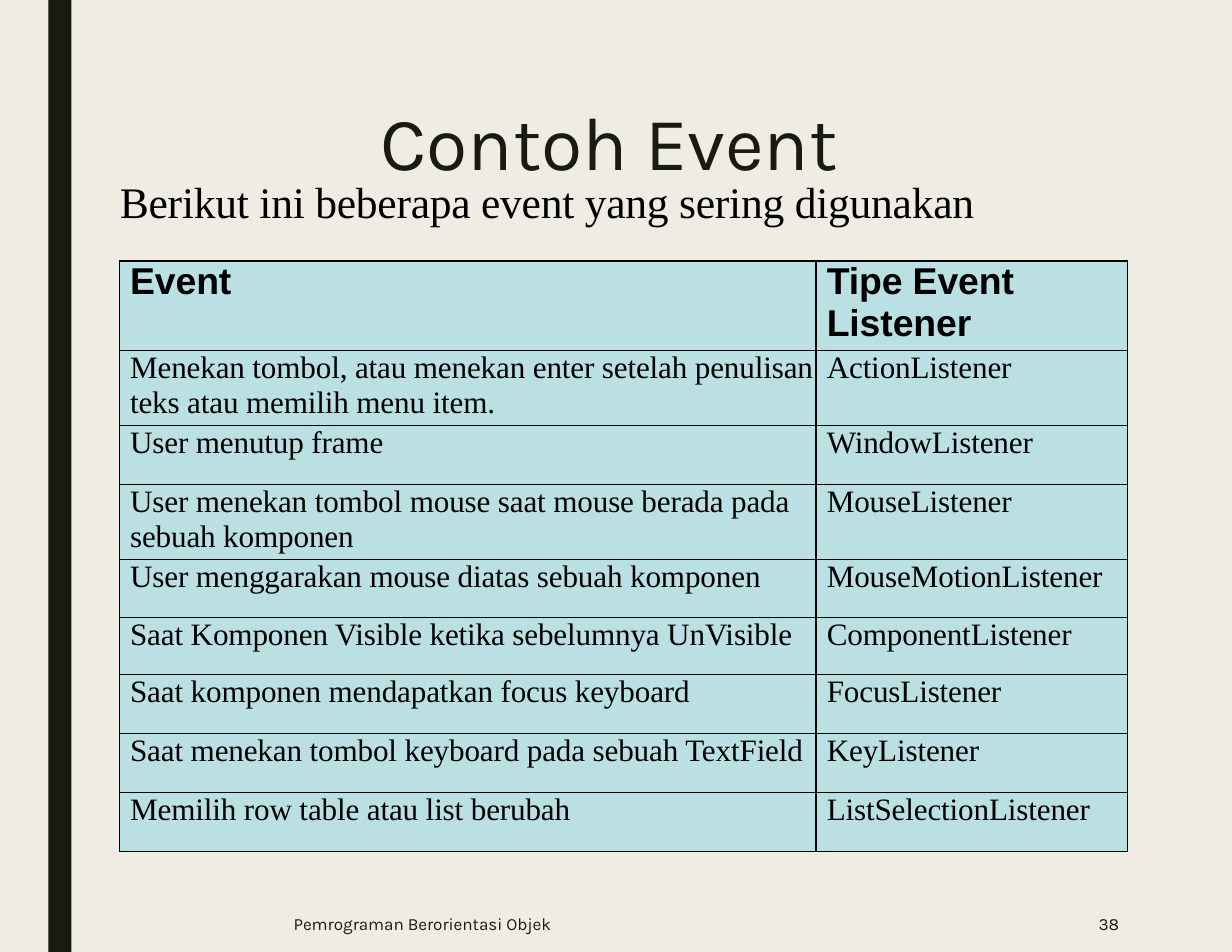
from dataclasses import dataclass

from lxml import etree
from pptx import Presentation
from pptx.dml.color import RGBColor
from pptx.enum.shapes import MSO_SHAPE
from pptx.enum.text import MSO_ANCHOR, PP_ALIGN
from pptx.oxml.ns import qn
from pptx.util import Cm, Pt

RECT = MSO_SHAPE.RECTANGLE
TOP, MIDDLE = MSO_ANCHOR.TOP, MSO_ANCHOR.MIDDLE
LEFT, RIGHT = PP_ALIGN.LEFT, PP_ALIGN.RIGHT

PAPER, DARK, BLACK, AQUA = "EFEDE3", "191B0E", "000000", "BAE0E3"
SIDES = ("a:lnL", "a:lnR", "a:lnT", "a:lnB")


@dataclass(frozen=True)
class Style:
    font: str
    size: float
    color: str = BLACK
    bold: bool = False
    space: int = 0


@dataclass(frozen=True)
class Label:
    text: str
    left: float
    top: float
    width: float
    height: float
    style: Style
    inset: float = 0
    anchor: MSO_ANCHOR = TOP
    align: PP_ALIGN = LEFT


@dataclass(frozen=True)
class Row:
    event: str
    kind: str
    height: float
    style: Style


HEAD = Style("Arial", 24, bold=True, space=-5)
BODY = Style("Times New Roman", 20, space=-10)
LEAD = Style("Times New Roman", 28, space=-13)
TITLE = Style("Karla", 48.4, DARK, space=-5)
FOOT = Style("Karla", 11, DARK, space=-5)

LABELS = [
    Label("Contoh Event", 3.15, 2.16, 22, 4.67, TITLE, inset=5.49),
    Label("Pemrograman Berorientasi Objek", 6.63, 20.32, 14.4, 1.27,
          FOOT, inset=0.03, anchor=MIDDLE),
    Label("38", 21.72, 20.32, 3.66, 1.27, FOOT, anchor=MIDDLE, align=RIGHT),
    Label("Berikut ini beberapa event yang sering digunakan",
          2.69, 3.96, 19.69, 1.07, LEAD, inset=0.03),
]

ROWS = [
    Row("Event", "Tipe Event Listener", 2.03, HEAD),
    Row("Menekan tombol, atau menekan enter setelah penulisan teks "
        "atau memilih menu item.", "ActionListener", 1.7, BODY),
    Row("User menutup frame", "WindowListener", 1.34, BODY),
    Row("User menekan tombol mouse saat mouse berada pada sebuah komponen",
        "MouseListener", 1.69, BODY),
    Row("User menggarakan mouse diatas sebuah komponen",
        "MouseMotionListener", 1.32, BODY),
    Row("Saat Komponen Visible ketika sebelumnya UnVisible",
        "ComponentListener", 1.29, BODY),
    Row("Saat komponen mendapatkan focus keyboard",
        "FocusListener", 1.34, BODY),
    Row("Saat menekan tombol keyboard pada sebuah TextField",
        "KeyListener", 1.33, BODY),
    Row("Memilih row table atau list berubah",
        "ListSelectionListener", 1.34, BODY),
]
COLS = (15.8, 7.06)


def paint(fill, color: str) -> None:
    fill.solid()
    fill.fore_color.rgb = RGBColor.from_string(color)


def write(par, text: str, style: Style) -> None:
    run = par.add_run()
    run.text = text
    font = run.font
    font.name = style.font
    font.size = Pt(style.size)
    font.bold = style.bold
    paint(font.fill, style.color)
    if style.space:
        font._element.set("spc", str(style.space))


def add_label(slide, item: Label) -> None:
    box = slide.shapes.add_textbox(
        Cm(item.left), Cm(item.top), Cm(item.width), Cm(item.height))
    frame = box.text_frame
    frame.word_wrap = True
    frame.margin_left = Cm(item.inset)
    frame.margin_top = frame.margin_right = frame.margin_bottom = 0
    frame.vertical_anchor = item.anchor
    par = frame.paragraphs[0]
    par.alignment = item.align
    write(par, item.text, item.style)


def add_edges(cell) -> None:
    props = cell._tc.get_or_add_tcPr()
    for side in SIDES:
        line = etree.SubElement(props, qn(side), w=str(Pt(1.06)))
        fill = etree.SubElement(line, qn("a:solidFill"))
        etree.SubElement(fill, qn("a:srgbClr"), val=BLACK)


def fill_cell(cell, text: str, style: Style) -> None:
    cell.margin_left = Cm(0.24)
    cell.margin_top = cell.margin_right = cell.margin_bottom = 0
    cell.vertical_anchor = TOP
    add_edges(cell)
    paint(cell.fill, AQUA)
    write(cell.text_frame.paragraphs[0], text, style)


def add_grid(slide) -> None:
    high = sum(row.height for row in ROWS)
    grid = slide.shapes.add_table(
        len(ROWS), len(COLS), Cm(2.71), Cm(5.92), Cm(sum(COLS)), Cm(high)).table
    grid.first_row = grid.horz_banding = False
    for col, width in zip(grid.columns, COLS):
        col.width = Cm(width)
    for line, row in zip(grid.rows, ROWS):
        line.height = Cm(row.height)
        for cell, text in zip(line.cells, (row.event, row.kind)):
            fill_cell(cell, text, row.style)


def main() -> None:
    deck = Presentation()
    deck.slide_width, deck.slide_height = Cm(27.94), Cm(21.59)
    slide = deck.slides.add_slide(deck.slide_layouts[6])
    paint(slide.background.fill, PAPER)
    bar = slide.shapes.add_shape(RECT, Cm(1.1), 0, Cm(0.52), Cm(21.59))
    bar.shadow.inherit = False
    paint(bar.fill, DARK)
    bar.line.fill.background()
    for item in LABELS:
        add_label(slide, item)
    add_grid(slide)
    deck.save("out.pptx")


if __name__ == "__main__":
    main()
